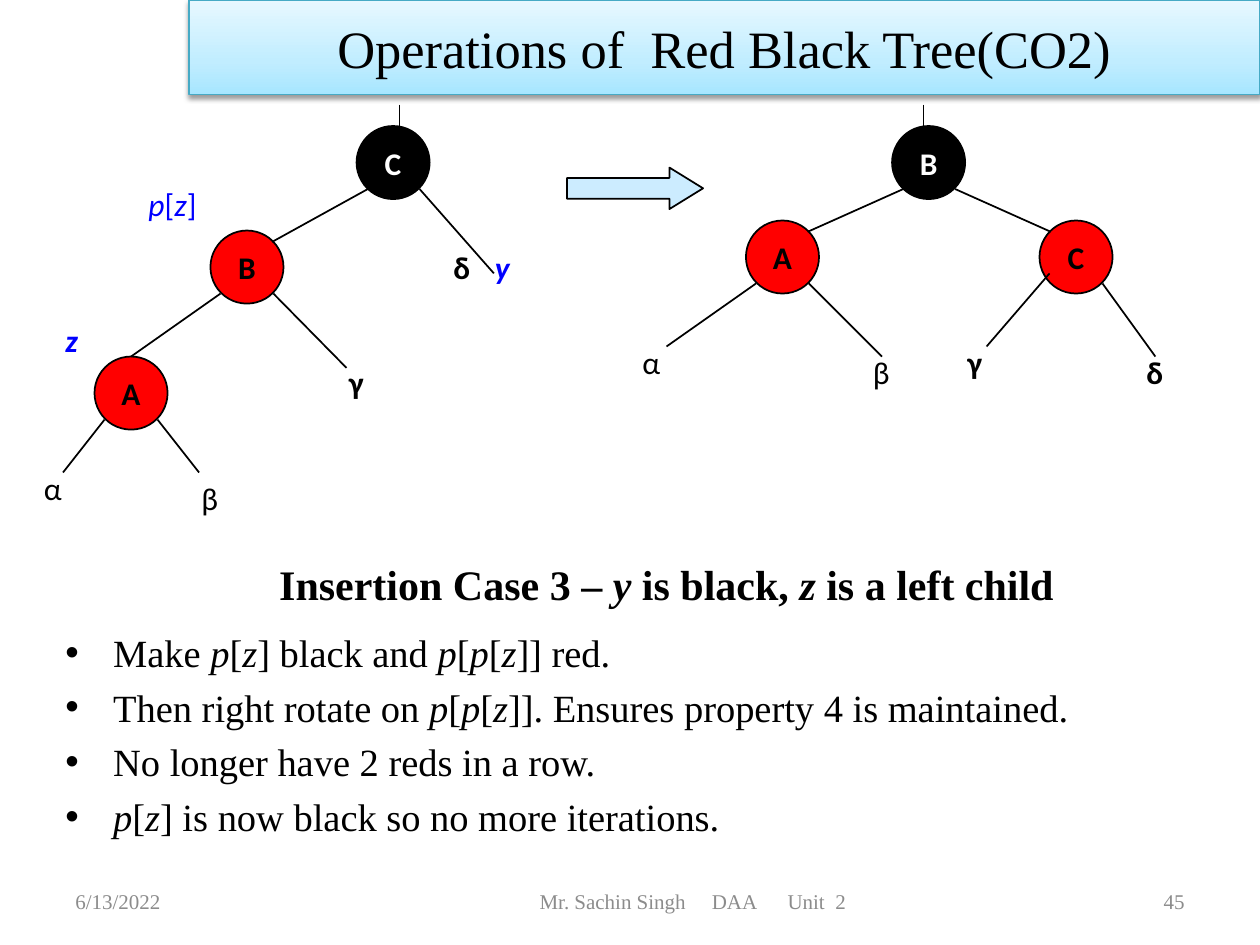
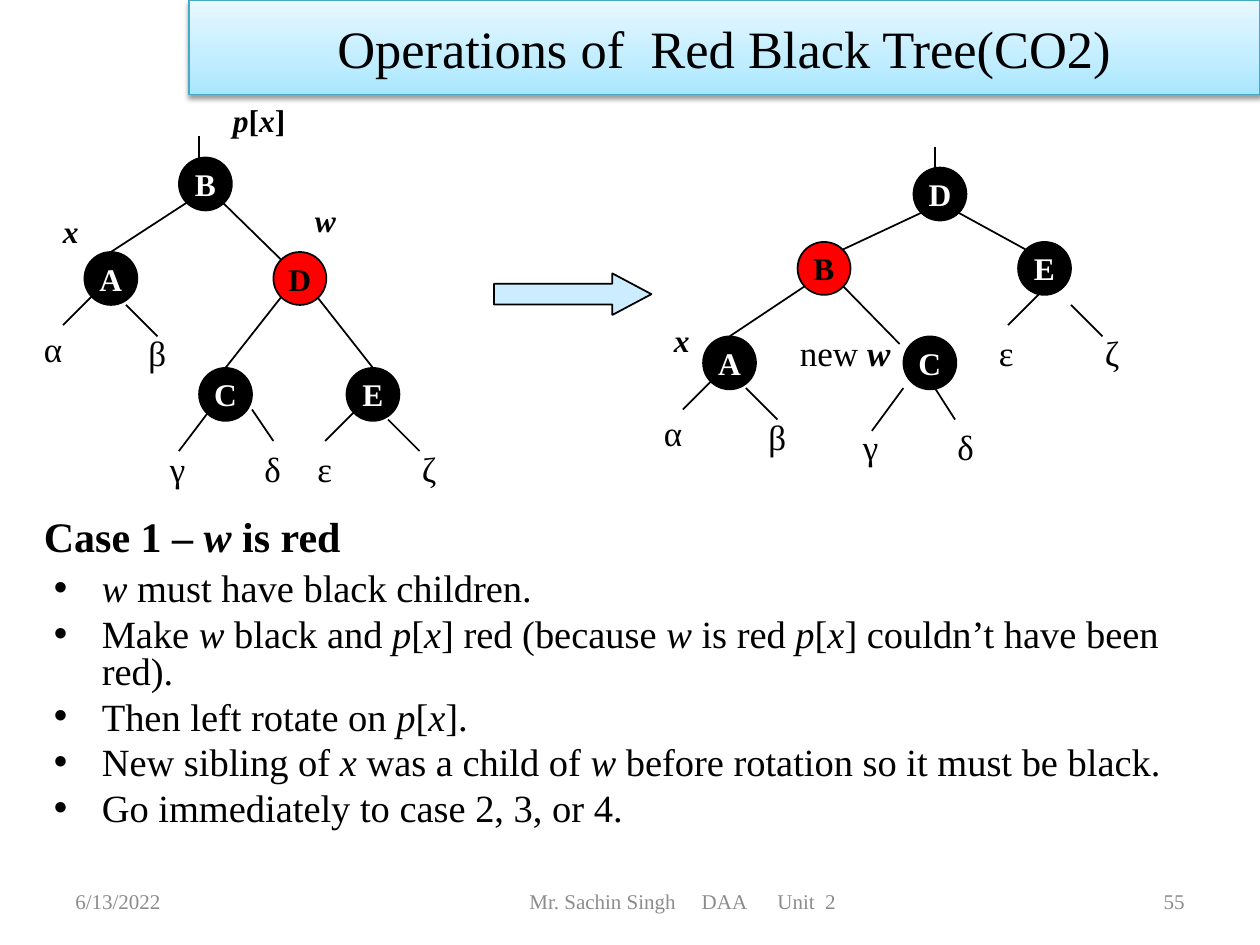
from dataclasses import dataclass

from pptx import Presentation
from pptx import util as u
from pptx.dml.color import RGBColor
from pptx.enum import shapes, text
from pptx.oxml import parse_xml
from pptx.oxml.ns import nsdecls, qn


@dataclass(frozen=True)
class Theme:
    serif: str = "Times New Roman"
    sans: str = "Calibri"
    black: str = "000000"
    white: str = "FFFFFF"
    red: str = "FF0000"
    blue: str = "0000FF"
    arrow: str = "CCECFF"
    muted: str = "8C8C8C"
    band_line: str = "46AAC5"
    band_stops: tuple = ((0, "A7E6FF"), (35, "C1EDFF"), (100, "E7F8FF"))
    band_size: int = 30
    heading_size: int = 24
    body_size: int = 22
    greek_size: int = 20
    node_size: int = 18
    footer_size: int = 12


theme = Theme()
LEFT, CENTER, RIGHT = text.PP_ALIGN.LEFT, text.PP_ALIGN.CENTER, text.PP_ALIGN.RIGHT
TOP, MIDDLE = text.MSO_ANCHOR.TOP, text.MSO_ANCHOR.MIDDLE


def write(box, lines, size, color=theme.black, font=theme.serif, weight="",
          align=LEFT, anchor=TOP, wrap=True):
    """Asterisks switch italics; weight is "", "all" or "variables"."""
    frame = box.text_frame
    frame.word_wrap = wrap
    frame.vertical_anchor = anchor
    for index, line in enumerate(lines):
        para = frame.add_paragraph() if index else frame.paragraphs[0]
        para.alignment = align
        for part, words in enumerate(line.split("*")):
            if words:
                span = para.add_run()
                span.text = words
                span.font.name = font
                span.font.size = u.Pt(size)
                span.font.color.rgb = RGBColor.from_string(color)
                span.font.italic = part % 2 == 1
                span.font.bold = weight == "all" or (weight == "variables" and part % 2 == 1)
    return frame


def add_shape(page, kind, place, fill, line=theme.black, width=1):
    shape = page.shapes.add_shape(kind, *map(u.Inches, place))
    shape.shadow.inherit = False
    shape.fill.solid()
    shape.fill.fore_color.rgb = RGBColor.from_string(fill)
    shape.line.color.rgb = RGBColor.from_string(line)
    shape.line.width = u.Pt(width)
    return shape


insertion = dict(
    number="45",
    footer_width=4.16,
    heading="Insertion Case 3 – *y* is black, *z* is a left child",
    heading_place=(0.29, 4.13, 10, 1),
    heading_align=CENTER,
    bullets=[
        "Make *p*[*z*] black and *p*[*p*[*z*]] red.",
        "Then right rotate on *p*[*p*[*z*]]. Ensures property 4 is maintained.",
        "No longer have 2 reds in a row.",
        "*p*[*z*] is now black so no more iterations.",
    ],
    body_place=(0.42, 4.94, 9.25, 1.69),
    line_spacing=1.0,
    font=theme.sans,
    diameter=0.58,
    arrow=(4.5, 1.33, 1.08, 0.33),
    arrow_head=0.81,
    nodes=[
        ("C", 2.83, 1, theme.black), ("B", 1.67, 1.83, theme.red), ("A", 0.75, 2.83, theme.red),
        ("B", 7.08, 1, theme.black), ("A", 5.92, 1.75, theme.red), ("C", 8.25, 1.75, theme.red),
    ],
    branches=[
        (3.17, 0.83, 3.17, 1), (2.92, 1.5, 2.16, 1.92), (3.33, 1.5, 3.92, 2.17),
        (1.75, 2.33, 1.04, 2.83), (2.17, 2.33, 2.75, 2.92),
        (0.83, 3.33, 0.5, 3.75), (1.25, 3.33, 1.58, 3.75),
        (7.33, 0.83, 7.33, 1), (7.17, 1.5, 6.41, 1.84), (7.58, 1.5, 8.34, 1.84),
        (6, 2.25, 5.29, 2.75), (6.42, 2.25, 7, 2.83),
        (8.33, 2.17, 7.83, 2.75), (8.75, 2.25, 9.17, 2.83),
    ],
    subtrees=[
        ("α", 0.25, 3.67, 0.41, ""), ("β", 1.5, 3.75, 0.38, ""),
        ("γ", 2.67, 2.83, 0.41, "all"), ("δ", 3.5, 1.92, 0.37, "all"),
        ("α", 5, 2.67, 0.41, ""), ("β", 6.83, 2.75, 0.38, ""),
        ("γ", 7.58, 2.67, 0.42, "all"), ("δ", 9, 2.75, 0.37, "all"),
    ],
    subtree_size=theme.node_size,
    subtree_height=0.5,
    pointers=[
        ("*p*[*z*]", 1.08, 1.42, 0.72, ""), ("*y*", 3.83, 1.92, 0.35, "all"),
        ("*z*", 0.42, 2.5, 0.33, "all"),
    ],
    pointer_color=theme.blue,
)

deletion = dict(
    number="55",
    footer_width=4,
    heading="Case 1 – *w* is red",
    heading_place=(0.25, 3.87, 10, 0.77),
    heading_align=LEFT,
    bullets=[
        "*w *must have black children.",
        "Make *w *black and *p*[*x*] red (because *w* is red *p*[*x*] couldn’t have been red).",
        "Then left rotate on *p*[*x*].",
        "New sibling of *x *was a child of *w *before rotation so it must be black.",
        "Go immediately to case 2, 3, or 4.",
    ],
    body_place=(0.33, 4.5, 9.25, 2.42),
    line_spacing=0.8,
    font=theme.serif,
    diameter=0.42,
    arrow=(3.92, 2.17, 1.25, 0.33),
    arrow_head=0.94,
    nodes=[
        ("B", 1.42, 1.25, theme.black), ("A", 0.67, 2, theme.black), ("D", 2.17, 2, theme.red),
        ("C", 1.58, 2.92, theme.black), ("E", 2.75, 2.92, theme.black),
        ("D", 7.25, 1.33, theme.black), ("B", 6.33, 1.92, theme.red),
        ("E", 8.08, 1.92, theme.black), ("A", 5.58, 2.67, theme.black),
        ("C", 7.17, 2.67, theme.black),
    ],
    branches=[
        (1.58, 1.08, 1.58, 1.25), (1.48, 1.61, 0.88, 2), (1.77, 1.61, 2.23, 2.06),
        (2.23, 2.36, 1.79, 2.92), (2.52, 2.36, 2.96, 2.92),
        (0.75, 2.33, 0.5, 2.58), (1, 2.42, 1.25, 2.67),
        (1.67, 3.25, 1.42, 3.58), (2, 3.25, 2.17, 3.5),
        (2.83, 3.25, 2.58, 3.5), (3.08, 3.33, 3.33, 3.58),
        (7.42, 1.17, 7.42, 1.33), (7.31, 1.69, 6.69, 1.98), (7.61, 1.69, 8.14, 1.98),
        (6.39, 2.27, 5.79, 2.67), (6.69, 2.27, 7.14, 2.73),
        (5.67, 3, 5.42, 3.25), (5.92, 3.08, 6.17, 3.33),
        (7.17, 3.08, 6.92, 3.42), (7.42, 3.08, 7.58, 3.33),
        (8.25, 2.33, 8, 2.58), (8.5, 2.42, 8.75, 2.67),
    ],
    subtrees=[
        ("α", 0.25, 2.55, 0.38, ""), ("β", 1.08, 2.58, 0.35, ""),
        ("γ", 1.25, 3.5, 0.32, ""), ("δ", 2, 3.5, 0.34, ""),
        ("ε", 2.42, 3.5, 0.32, ""), ("ζ", 3.25, 3.5, 0.34, ""),
        ("α", 5.17, 3.22, 0.38, ""), ("β", 6, 3.25, 0.35, ""),
        ("γ", 6.75, 3.33, 0.32, ""), ("δ", 7.5, 3.33, 0.34, ""),
        ("ε", 7.83, 2.58, 0.32, ""), ("ζ", 8.67, 2.58, 0.34, ""),
        ("new *w*", 6.25, 2.58, 1, "variables"),
    ],
    subtree_size=theme.greek_size,
    subtree_height=0.43,
    pointers=[
        ("*p*[*x*]", 1.75, 0.75, 0.76, "all"), ("*x*", 0.4, 1.63, 0.37, "all"),
        ("*w*", 2.4, 1.55, 0.42, "all"), ("*x*", 5.25, 2.5, 0.37, "all"),
    ],
    pointer_color=theme.black,
)

deck = Presentation()
deck.slide_width = u.Inches(10)
deck.slide_height = u.Inches(7.5)

for case in (insertion, deletion):
    page = deck.slides.add_slide(deck.slide_layouts[6])

    heading = page.shapes.add_textbox(*map(u.Inches, case["heading_place"]))
    write(heading, [case["heading"]], theme.heading_size, weight="all",
          align=case["heading_align"], anchor=MIDDLE)

    body = page.shapes.add_textbox(*map(u.Inches, case["body_place"]))
    frame = write(body, case["bullets"], theme.body_size)
    for index, para in enumerate(frame.paragraphs):
        para.line_spacing = case["line_spacing"]
        para.space_before = u.Pt(5 if index else 0)
        properties = para._p.get_or_add_pPr()
        properties.set("marL", str(u.Inches(0.38)))
        properties.set("indent", str(u.Inches(-0.38)))
        properties.append(parse_xml(f'<a:buFont {nsdecls("a")} typeface="Arial"/>'))
        properties.append(parse_xml(f'<a:buChar {nsdecls("a")} char="•"/>'))

    arrow = add_shape(page, shapes.MSO_SHAPE.RIGHT_ARROW, case["arrow"], theme.arrow)
    arrow.adjustments[1] = case["arrow_head"]

    diameter = case["diameter"]
    node_tops = {}
    for name, left, top, fill in case["nodes"]:
        node = add_shape(page, shapes.MSO_SHAPE.OVAL, (left, top, diameter, diameter), fill)
        color = theme.white if fill == theme.black else theme.black
        write(node, [name], theme.node_size, color, case["font"], "all", CENTER, MIDDLE, False)
        node_tops[round(left + diameter / 2, 2), top] = node

    for branch in case["branches"]:
        line = page.shapes.add_connector(shapes.MSO_CONNECTOR.STRAIGHT, *map(u.Inches, branch))
        line.line.color.rgb = RGBColor.from_string(theme.black)
        line.line.width = u.Pt(1)
        line._element.spPr.append(parse_xml(f'<a:effectLst {nsdecls("a")}/>'))
        if branch[2:] in node_tops:
            line.end_connect(node_tops[branch[2:]], 0)

    label_groups = (
        (case["subtrees"], case["subtree_size"], case["subtree_height"], theme.black),
        (case["pointers"], theme.node_size, 0.5, case["pointer_color"]),
    )
    for labels, size, height, color in label_groups:
        for words, left, top, width, weight in labels:
            label = page.shapes.add_textbox(*map(u.Inches, (left, top, width, height)))
            write(label, [words], size, color, case["font"], weight)

    footers = (
        ("6/13/2022", 0.5, 2.33, LEFT),
        (case["number"], 7.17, 2.33, RIGHT),
        ("Mr. Sachin Singh     DAA      Unit  2", 3.42, case["footer_width"], CENTER),
    )
    for words, left, width, align in footers:
        footer = page.shapes.add_textbox(*map(u.Inches, (left, 6.95, width, 0.4)))
        write(footer, [words], theme.footer_size, theme.muted, align=align, anchor=MIDDLE)

    band = add_shape(page, shapes.MSO_SHAPE.RECTANGLE, (1.5, 0, 8.5, 0.75),
                     theme.arrow, theme.band_line, 0.75)
    write(band, ["Operations of  Red Black Tree(CO2)"], theme.band_size,
          align=CENTER, anchor=MIDDLE)
    stops = "".join(f'<a:gs pos="{percent * 1000}"><a:srgbClr val="{color}"/></a:gs>'
                    for percent, color in theme.band_stops)
    properties = band._element.spPr
    properties.replace(properties.find(qn("a:solidFill")), parse_xml(
        f'<a:gradFill {nsdecls("a")} rotWithShape="1"><a:gsLst>{stops}</a:gsLst>'
        '<a:lin ang="16200000" scaled="0"/></a:gradFill>'))
    properties.find(qn("a:effectLst")).append(parse_xml(
        f'<a:outerShdw {nsdecls("a")} blurRad="{u.Pt(3.1)}" dist="{u.Pt(1.6)}" dir="5400000" '
        f'rotWithShape="0"><a:srgbClr val="{theme.black}"><a:alpha val="38000"/></a:srgbClr>'
        '</a:outerShdw>'))

deck.save("out.pptx")
